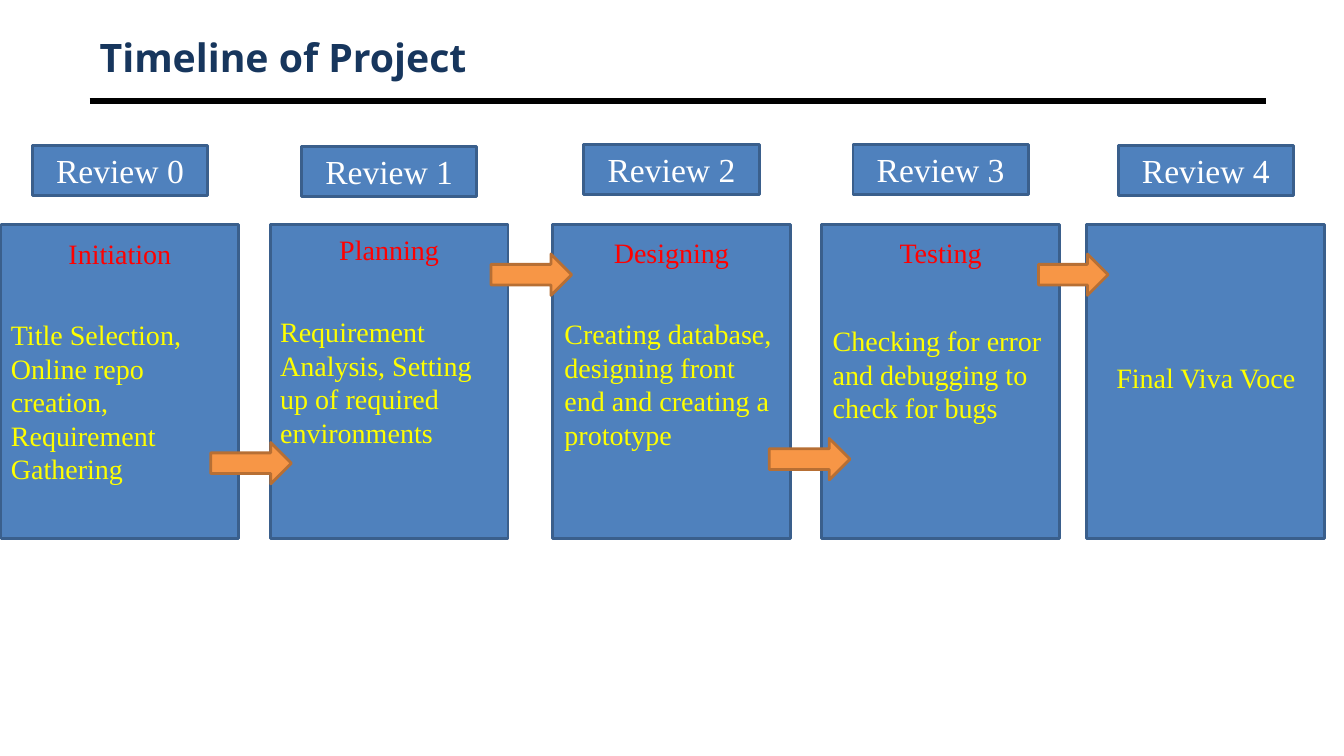
from pptx import Presentation
from pptx.dml.color import RGBColor
from pptx.enum.shapes import MSO_CONNECTOR as CONN, MSO_SHAPE as SHAPE
from pptx.enum.text import MSO_ANCHOR as ANCHOR, PP_ALIGN as ALIGN
from pptx.oxml.ns import qn
from pptx.util import Inches, Pt
from lxml import etree

TITLE = "Timeline of Project"
STAGES = [
    dict(label="Review 0", left=0.01, tag_top=1.44, head="Initiation", head_top=2.3,
         body=["Title Selection, Online repo creation,", "Requirement Gathering"],
         body_left=0.01, body_top=3.1, body_h=1.78),
    dict(label="Review 1", left=2.68, tag_top=1.45, head="Planning", head_top=2.26,
         body=["Requirement Analysis, Setting up of required environments"],
         body_left=2.68, body_top=3.07, body_h=1.45),
    dict(label="Review 2", left=5.48, tag_top=1.43, head="Designing", head_top=2.29,
         body=["Creating database, designing front end and creating a prototype"],
         body_left=5.5, body_top=3.09, body_h=1.45),
    dict(label="Review 3", left=8.15, tag_top=1.43, head="Testing", head_top=2.29,
         body=["Checking for error and debugging to check for bugs"],
         body_left=8.16, body_top=3.16, body_h=1.11),
    dict(label="Review 4", left=10.78, tag_top=1.44, head=None,
         body=["Final Viva Voce"], body_left=10.79, body_top=3.53, body_h=0.44),
]
ARROWS = [(2.09, 4.39, 0.8), (4.87, 2.52, 0.8), (7.63, 4.35, 0.8), (10.3, 2.52, 0.69)]

CARD_W, CARD_TOP, CARD_H = 2.36, 2.23, 3.11
TAG_W, TAG_H = 1.74, 0.5
BODY_W, HEAD_H, ARROW_H = 2.34, 0.44, 0.41
BLUE, BLUE_EDGE = "4F81BD", "3A5F8C"
ORANGE, ORANGE_EDGE = "F79646", "B76F34"
SERIF = "Times New Roman"
TITLE_FONT = dict(name="Open Sans", size=Pt(28), bold=True)
TAG_FONT = dict(name=SERIF, size=Pt(24))
TEXT_FONT = dict(name=SERIF, size=Pt(20))


def rgb(value):
    return RGBColor.from_string(value)


def write(sp, lines, font, color, align=ALIGN.LEFT, anchor=ANCHOR.TOP):
    tf = sp.text_frame
    tf.word_wrap = True
    tf.vertical_anchor = anchor
    for i, line in enumerate(lines):
        p = tf.add_paragraph() if i else tf.paragraphs[0]
        p.alignment = align
        r = p.add_run()
        r.text = line
        for key, value in font.items():
            setattr(r.font, key, value)
        r.font.color.rgb = rgb(color)


def add_text(s, box, *args, **kwargs):
    write(s.shapes.add_textbox(*map(Inches, box)), *args, **kwargs)


def add_block(s, kind, box, fill, edge):
    sp = s.shapes.add_shape(kind, *map(Inches, box))
    sp.shadow.inherit = False
    sp.fill.solid()
    sp.fill.fore_color.rgb = rgb(fill)
    sp.line.color.rgb = rgb(edge)
    sp.line.width = Pt(2)
    return sp


def add_rule(s, x1, x2, y):
    rule = s.shapes.add_connector(CONN.STRAIGHT, *map(Inches, (x1, y, x2, y)))
    rule.line.color.rgb = rgb("000000")
    rule.line.width = Pt(4.5)
    etree.SubElement(rule._element.spPr, qn("a:effectLst"))


def add_stage(s, stage):
    left = stage["left"]
    tag_left = left + (CARD_W - TAG_W) / 2
    tag = add_block(s, SHAPE.RECTANGLE, (tag_left, stage["tag_top"], TAG_W, TAG_H),
                    BLUE, BLUE_EDGE)
    write(tag, [stage["label"]], TAG_FONT, "FFFFFF", ALIGN.CENTER, ANCHOR.MIDDLE)
    add_block(s, SHAPE.RECTANGLE, (left, CARD_TOP, CARD_W, CARD_H), BLUE, BLUE_EDGE)


def add_stage_text(s, stage):
    if stage["head"]:
        add_text(s, (stage["left"], stage["head_top"], CARD_W, HEAD_H),
                 [stage["head"]], TEXT_FONT, "FF0000", ALIGN.CENTER)
    add_text(s, (stage["body_left"], stage["body_top"], BODY_W, stage["body_h"]),
             stage["body"], TEXT_FONT, "FFFF00",
             ALIGN.LEFT if stage["head"] else ALIGN.CENTER)


def main():
    prs = Presentation()
    prs.slide_width, prs.slide_height = Inches(13.33), Inches(7.5)
    s = prs.slides.add_slide(prs.slide_layouts[6])
    add_rule(s, 0.89, 12.56, 1)
    add_text(s, (0.89, 0.3, 11.67, 0.53), [TITLE], TITLE_FONT, "17365D",
             anchor=ANCHOR.MIDDLE)
    for stage in STAGES:
        add_stage(s, stage)
    for left, top, width in ARROWS:
        add_block(s, SHAPE.RIGHT_ARROW, (left, top, width, ARROW_H), ORANGE, ORANGE_EDGE)
    for stage in STAGES:
        add_stage_text(s, stage)
    prs.save("out.pptx")


if __name__ == "__main__":
    main()
